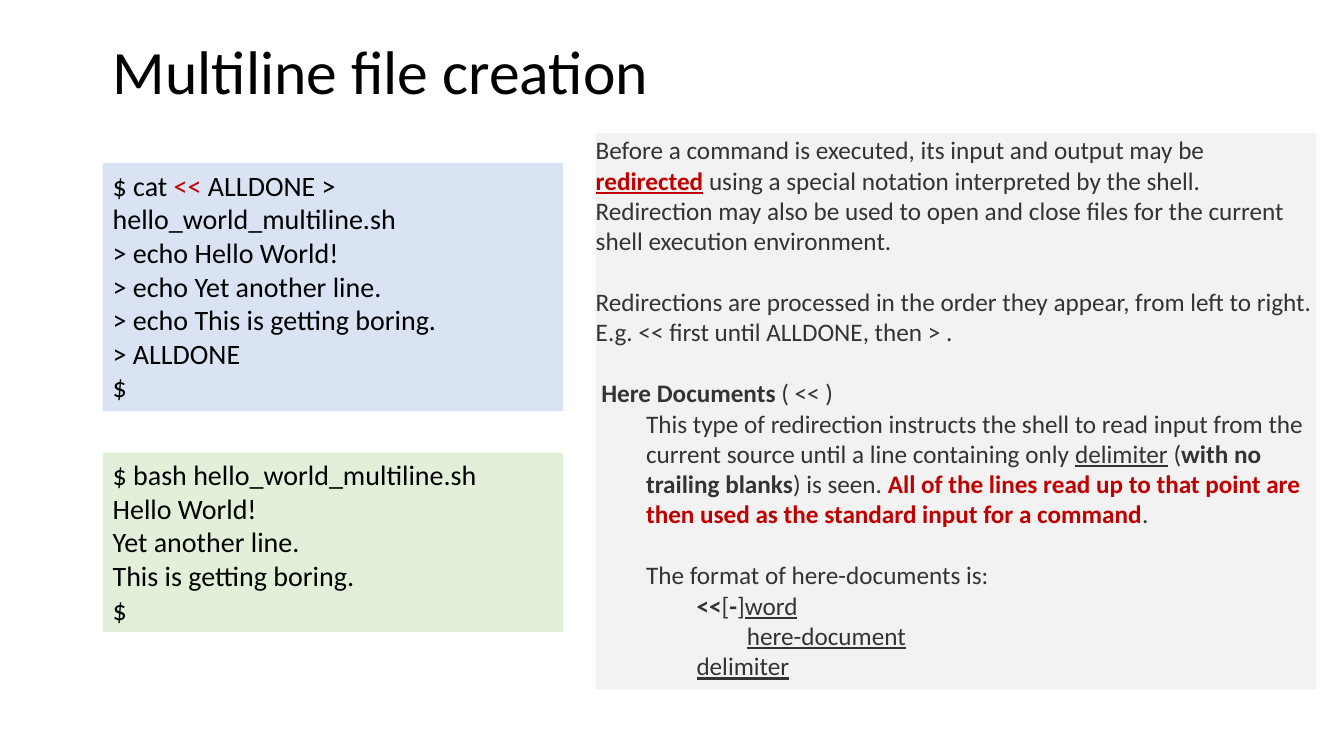
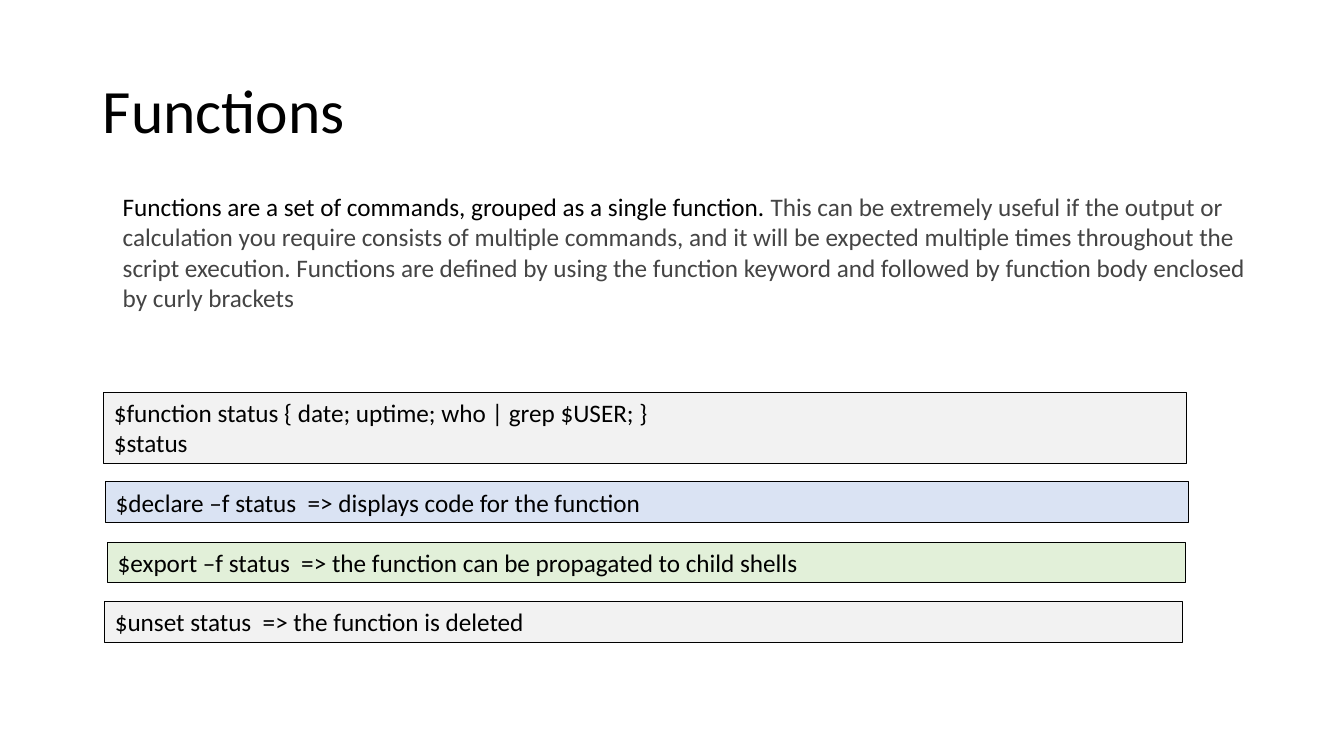
"""Build two slides on multiline file creation and functions in the shell."""
import dataclasses
import typing

import pptx
import pptx.dml.color
import pptx.enum.text
import pptx.slide
import pptx.text.text
import pptx.util

Pt = pptx.util.Pt


@dataclasses.dataclass(frozen=True)
class Theme:
    font: str = "Calibri"
    ink: str = "000000"
    body: str = "333333"
    muted: str = "444444"
    accent: str = "C00000"
    blue: str = "DAE3F3"
    green: str = "E2F0D9"
    grey: str = "F2F2F2"
    title_size: float = 44
    code_size: float = 20
    text_size: float = 18
    blank_line: float = 22
    indent_step: float = 36
    outline: float = 0.75


THEME = Theme()


class Area(typing.NamedTuple):
    left: float
    top: float
    width: float
    height: float


@dataclasses.dataclass(frozen=True)
class Span:
    text: str
    colour: str | None = None
    bold: bool = False
    underline: bool = False


@dataclasses.dataclass(frozen=True)
class Line:
    spans: tuple[Span, ...]
    indent: float = 0
    before: float = 0


@dataclasses.dataclass(frozen=True)
class Panel:
    area: Area
    lines: tuple[Line, ...]
    fill: str | None = None
    outlined: bool = False
    size: float = THEME.text_size
    colour: str = THEME.ink
    insets: tuple[float, float, float, float] = (7.2, 3.6, 7.2, 3.6)
    middle: bool = False


def rgb(colour: str) -> pptx.dml.color.RGBColor:
    return pptx.dml.color.RGBColor.from_string(colour)


def line(*parts: str | Span, indent: float = 0, before: float = 0) -> Line:
    spans = tuple(Span(part) if isinstance(part, str) else part for part in parts)
    return Line(spans, indent, before)


def lines(*texts: str) -> tuple[Line, ...]:
    return tuple(line(text) for text in texts)


def add_span(para: pptx.text.text._Paragraph, text: str, *, size: float,
             colour: str, bold: bool = False, underline: bool = False) -> None:
    span = para.add_run()
    span.text = text
    span.font.name = THEME.font
    span.font.size = Pt(size)
    span.font.color.rgb = rgb(colour)
    span.font.bold = bold
    span.font.underline = underline


def set_title(page: pptx.slide.Slide, text: str, area: Area) -> None:
    box = page.shapes.title
    box.left, box.top, box.width, box.height = map(Pt, area)
    frame = box.text_frame
    frame.auto_size = pptx.enum.text.MSO_AUTO_SIZE.NONE
    frame.vertical_anchor = pptx.enum.text.MSO_ANCHOR.MIDDLE
    para = frame.paragraphs[0]
    para.alignment = pptx.enum.text.PP_ALIGN.LEFT
    para.line_spacing = 0.9
    add_span(para, text, size=THEME.title_size, colour=THEME.ink)


def add_panel(page: pptx.slide.Slide, panel: Panel) -> None:
    box = page.shapes.add_textbox(*map(Pt, panel.area))
    if panel.fill:
        box.fill.solid()
        box.fill.fore_color.rgb = rgb(panel.fill)
    if panel.outlined:
        box.line.color.rgb = rgb(THEME.ink)
        box.line.width = Pt(THEME.outline)
    frame = box.text_frame
    frame.word_wrap = True
    frame.auto_size = pptx.enum.text.MSO_AUTO_SIZE.SHAPE_TO_FIT_TEXT
    if panel.middle:
        frame.vertical_anchor = pptx.enum.text.MSO_ANCHOR.MIDDLE
    (frame.margin_left, frame.margin_top,
     frame.margin_right, frame.margin_bottom) = map(Pt, panel.insets)
    for index, item in enumerate(panel.lines):
        para = frame.add_paragraph() if index else frame.paragraphs[0]
        if item.indent:
            properties = para._p.get_or_add_pPr()
            properties.set("marL", str(int(Pt(item.indent))))
            properties.set("indent", "0")
        if item.before:
            para.space_before = Pt(item.before)
        for span in item.spans:
            add_span(para, span.text, size=panel.size, colour=span.colour or panel.colour,
                     bold=span.bold, underline=span.underline)


STEP = THEME.indent_step
GAP = THEME.blank_line

EXPLANATION = (
    line("Before a command is executed, its input and output may be ",
         Span("redirected", THEME.accent, bold=True, underline=True),
         " using a special notation interpreted by the shell. Redirection may also be used "
         "to open and close files for the current shell execution environment."),
    line("Redirections are processed in the order they appear, from left to right. "
         "E.g. << first until ALLDONE, then > .", before=GAP),
    line(Span("Here Documents", bold=True), " ( << )", indent=4, before=GAP),
    line("This type of redirection instructs the shell to read input from the current source "
         "until a line containing only ",
         Span("delimiter", underline=True), " (", Span("with no trailing blanks", bold=True),
         ") is seen. ",
         Span("All of the lines read up to that point are then used as the standard input "
              "for a command", THEME.accent, bold=True),
         ".", indent=STEP),
    line("The format of here-documents is:", indent=STEP, before=GAP),
    line(Span("<<", bold=True), "[", Span("-", bold=True), "]",
         Span("word", underline=True), indent=2 * STEP),
    line(Span("here-document", underline=True), indent=3 * STEP),
    line(Span("delimiter", underline=True), indent=2 * STEP),
)

MULTILINE_PANELS = (
    Panel(Area(73.4, 116.6, 329, 177.1),
          (line("$ cat ", Span("<<", THEME.accent), " ALLDONE > hello_world_multiline.sh"),
           *lines("> echo Hello World!", "> echo Yet another line.",
                  "> echo This is getting boring.", "> ALLDONE", "$")),
          fill=THEME.blue, size=THEME.code_size),
    Panel(Area(425.5, 95, 514.8, 397.4), EXPLANATION, fill=THEME.grey,
          colour=THEME.body, insets=(0, 0, 0, 5), middle=True),
    Panel(Area(73.4, 323.3, 329, 128.2),
          lines("$ bash hello_world_multiline.sh", "Hello World!", "Yet another line.",
                "This is getting boring.", "$"),
          fill=THEME.green, size=THEME.code_size),
)

INTRODUCTION = Panel(
    Area(80.6, 133.2, 828, 94.3),
    (line("Functions are a set of commands, grouped as a single function. ",
          Span("This can be extremely useful if the output or calculation you require consists "
               "of multiple commands, and it will be expected multiple times throughout the "
               "script execution. Functions are defined by using the function keyword and "
               "followed by function body enclosed by curly brackets", THEME.muted)),))

COMMAND_PANELS = tuple(
    Panel(Area(left, top, width, height), lines(*texts), fill=fill, outlined=True)
    for left, top, width, height, fill, texts in (
        (74.2, 280.1, 773.3, 51.1, THEME.grey,
         ("$function status { date; uptime; who | grep $USER; }", "$status")),
        (75.6, 344.2, 773.3, 29, THEME.blue,
         ("$declare –f status  => displays code for the function",)),
        (77, 387.2, 769.7, 29, THEME.green,
         ("$export –f status  => the function can be propagated to child shells",)),
        (74.9, 429.8, 769.7, 29, THEME.grey,
         ("$unset status  => the function is deleted",)),
    ))

PAGES = (
    ("Multiline file creation", Area(73.4, 12.2, 866.9, 82.8), MULTILINE_PANELS),
    ("Functions", Area(66.2, 28.8, 828, 104.4), (INTRODUCTION, *COMMAND_PANELS)),
)


def main() -> None:
    deck = pptx.Presentation()
    deck.slide_width, deck.slide_height = Pt(960), Pt(540)
    for title, area, panels in PAGES:
        page = deck.slides.add_slide(deck.slide_layouts[5])
        set_title(page, title, area)
        for panel in panels:
            add_panel(page, panel)
    deck.save("out.pptx")


if __name__ == "__main__":
    main()
